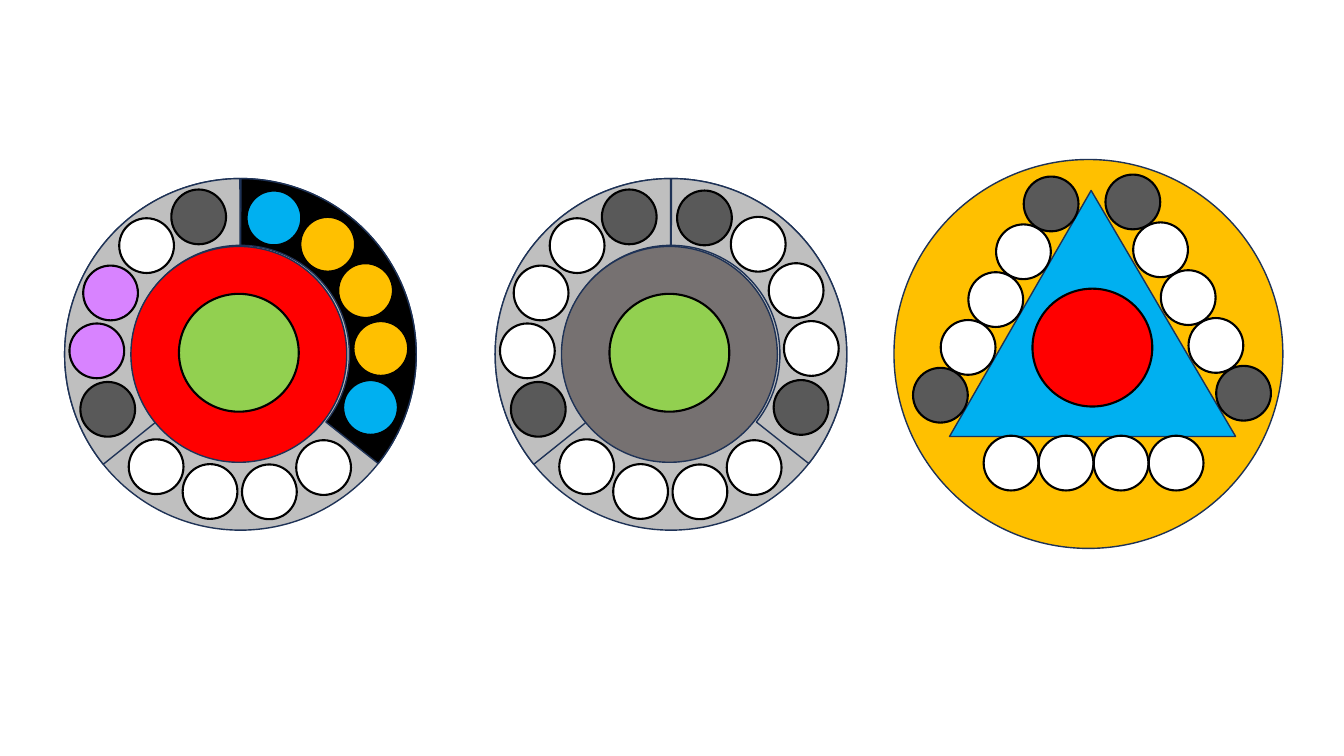
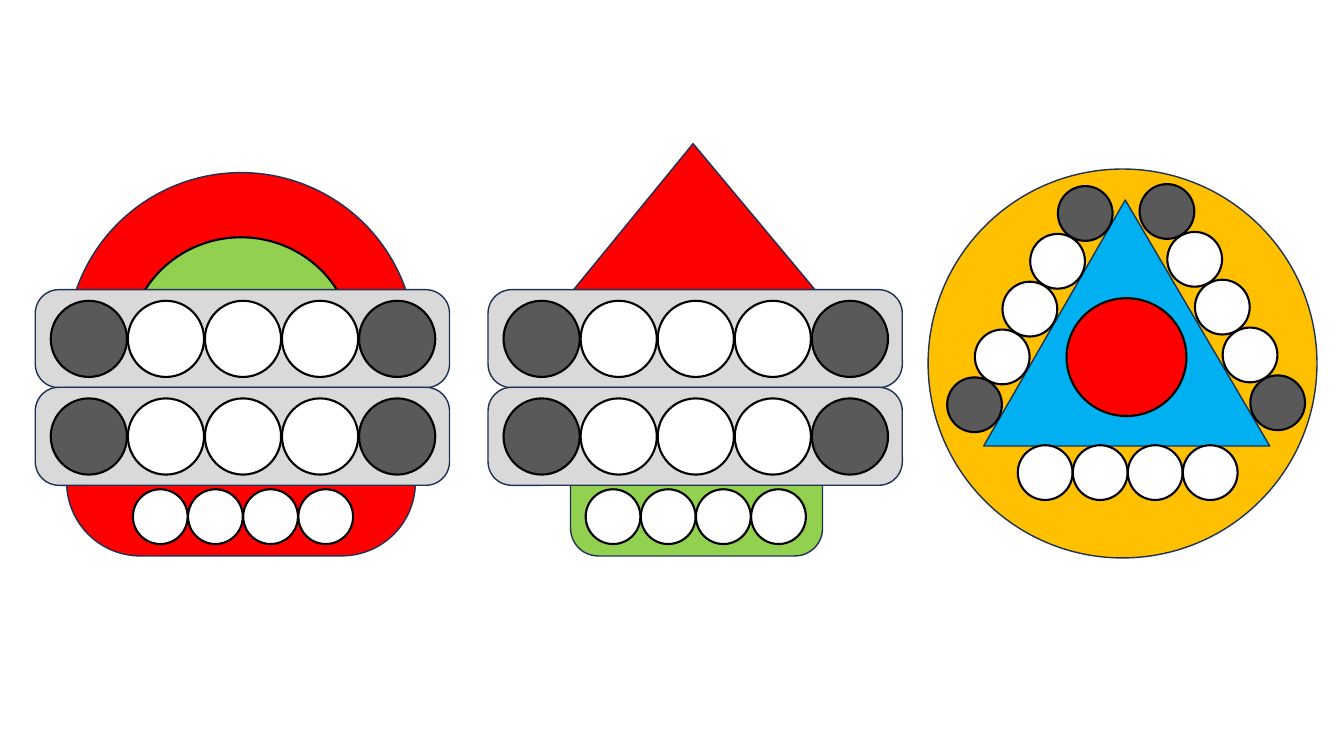
import math

import pptx
import pptx.dml.color
import pptx.enum.shapes
from pptx.util import Cm

SHAPE = pptx.enum.shapes.MSO_SHAPE
COLOURS = {
    "black": "000000", "white": "FFFFFF", "charcoal": "595959", "slate": "767171",
    "silver": "BFBFBF", "pale": "D9D9D9", "red": "FF0000", "green": "92D050",
    "blue": "00B0F0", "amber": "FFC000", "violet": "D883FF", "navy": "1E3256",
}
BULB = 1.38
LAMP = 1.92
CORE_WIDTH, CORE_HEIGHT = 3.02, 2.97
FOUR_WHITE = ["white"] * 4
DARK_ENDS = ["charcoal", "white", "white", "white", "charcoal"]


def add_part(group, kind, left, top, width, height, fill, line="navy", points=1, adjustments=()):
    """Add one filled and outlined shape; lengths are in centimetres."""
    shape = group.shapes.add_shape(kind, Cm(left), Cm(top), Cm(width), Cm(height))
    shape.shadow.inherit = False
    for index, value in enumerate(adjustments):
        shape.adjustments[index] = value
    shape.fill.solid()
    shape.fill.fore_color.rgb = pptx.dml.color.RGBColor.from_string(COLOURS[fill])
    shape.line.color.rgb = pptx.dml.color.RGBColor.from_string(COLOURS[line])
    shape.line.width = pptx.util.Pt(points)
    return shape


def add_disc(group, x, y, width, fill, height=None, line="black", points=1.5):
    """Add an ellipse by its centre."""
    height = height or width
    add_part(group, SHAPE.OVAL, x - width / 2, y - height / 2, width, height, fill, line, points)


def add_row(group, start, end, diameter, fills):
    """Space discs evenly between two centres."""
    for index, fill in enumerate(fills):
        share = index / (len(fills) - 1)
        x, y = (first + share * (last - first) for first, last in zip(start, end))
        add_disc(group, x, y, diameter, fill)


def add_ring(group, x, y, radius, first_angle, step, fills):
    """Place bulbs clockwise on an arc; angles are in degrees from the right."""
    for index, fill in enumerate(fills):
        angle = math.radians(first_angle + index * step)
        add_disc(group, x + radius * math.cos(angle), y + radius * math.sin(angle), BULB, fill)


def add_dial(slide, left, top, sector, hub, right_bulbs, left_bulbs):
    group = slide.shapes.add_group_shape()
    size = 8.86
    x, y = left + size / 2, top + size / 2
    add_disc(group, x, y, size, "silver", line="navy", points=1)
    for start, end, fill in ((270.16, 38.39, sector), (141.29, 269.84, "silver")):
        # Adjustments count 60000ths of a degree in units of 100000.
        add_part(group, SHAPE.BLOCK_ARC, left, top, size, size, fill,
                 adjustments=(start * 0.6, end * 0.6, 0.19))
    add_ring(group, x, y, 3.54, -76.2, 24.6, right_bulbs)
    add_ring(group, x, y, 3.54, 53.7, 24.4, FOUR_WHITE)
    add_ring(group, x, y, 3.62, 157.5, 23.9, left_bulbs)
    add_disc(group, x - 0.04, y, 5.44, hub, line="navy", points=1)
    add_disc(group, x - 0.04, y - 0.04, CORE_WIDTH, "green", CORE_HEIGHT)


def add_triangle_wheel(slide, left, top):
    group = slide.shapes.add_group_shape()
    add_part(group, SHAPE.OVAL, left, top, 9.8, 9.8, "amber")
    add_part(group, SHAPE.ISOSCELES_TRIANGLE, left + 1.4, top + 0.78, 7.21, 6.2, "blue",
             adjustments=(0.495,))
    rows = (
        ((3.96, 1.12), (1.17, 5.94), DARK_ENDS),
        ((6.02, 1.07), (8.81, 5.89), DARK_ENDS),
        ((2.95, 7.65), (7.11, 7.65), FOUR_WHITE),
    )
    for start, end, fills in rows:
        add_row(group, (left + start[0], top + start[1]), (left + end[0], top + end[1]), BULB, fills)
    add_disc(group, left + 5.0, top + 4.74, CORE_WIDTH, "red", CORE_HEIGHT)


def add_dome(slide, left, top):
    group = slide.shapes.add_group_shape()
    add_part(group, SHAPE.OVAL, left + 0.79, top - 2.95, 8.79, 8.79, "red")
    add_part(group, SHAPE.OVAL, left + 2.34, top - 1.32, 5.69, 5.59, "green", "black", 1.5)


def add_roof(slide, left, top):
    add_part(slide, SHAPE.ISOSCELES_TRIANGLE, left + 1.47, top - 3.68, 7.47, 4.52, "red",
             adjustments=(0.495,))


def add_lamp_stack(slide, left, top, base_inset, base_width, base_fill, base_corner):
    """Add a base with small bulbs below two bars of lamps."""
    group = slide.shapes.add_group_shape()
    add_part(group, SHAPE.ROUNDED_RECTANGLE, left + base_inset, top + 2.01, base_width, 4.7,
             base_fill, adjustments=(base_corner,))
    add_row(group, (left + 3.15, top + 5.72), (left + 7.32, top + 5.72), BULB, FOUR_WHITE)
    for bar_top in (top, top + 2.46):
        add_part(group, SHAPE.ROUNDED_RECTANGLE, left, bar_top, 10.44, 2.47, "pale",
                 adjustments=(0.241,))
        add_row(group, (left + 1.35, bar_top + 1.24), (left + 9.12, bar_top + 1.24), LAMP, DARK_ENDS)


def build_dials(slide):
    add_dial(slide, 1.63, 4.5, "black", "red",
             ["blue", "amber", "amber", "amber", "blue"],
             ["charcoal", "violet", "violet", "white", "charcoal"])
    add_dial(slide, 12.48, 4.5, "silver", "slate", DARK_ENDS, DARK_ENDS)
    add_triangle_wheel(slide, 22.53, 4.02)


def build_lamp_stacks(slide):
    top = 7.3
    add_dome(slide, 0.89, top)
    add_lamp_stack(slide, 0.89, top, 0.79, 8.79, "red", 0.396)
    add_roof(slide, 12.3, top)
    add_lamp_stack(slide, 12.3, top, 2.08, 6.35, "green", 0.148)
    add_triangle_wheel(slide, 23.39, 4.26)


def main():
    presentation = pptx.Presentation()
    presentation.slide_width, presentation.slide_height = Cm(33.87), Cm(19.05)
    blank_layout = presentation.slide_layouts[6]
    for build in (build_dials, build_lamp_stacks):
        build(presentation.slides.add_slide(blank_layout))
    presentation.save("out.pptx")


if __name__ == "__main__":
    main()
